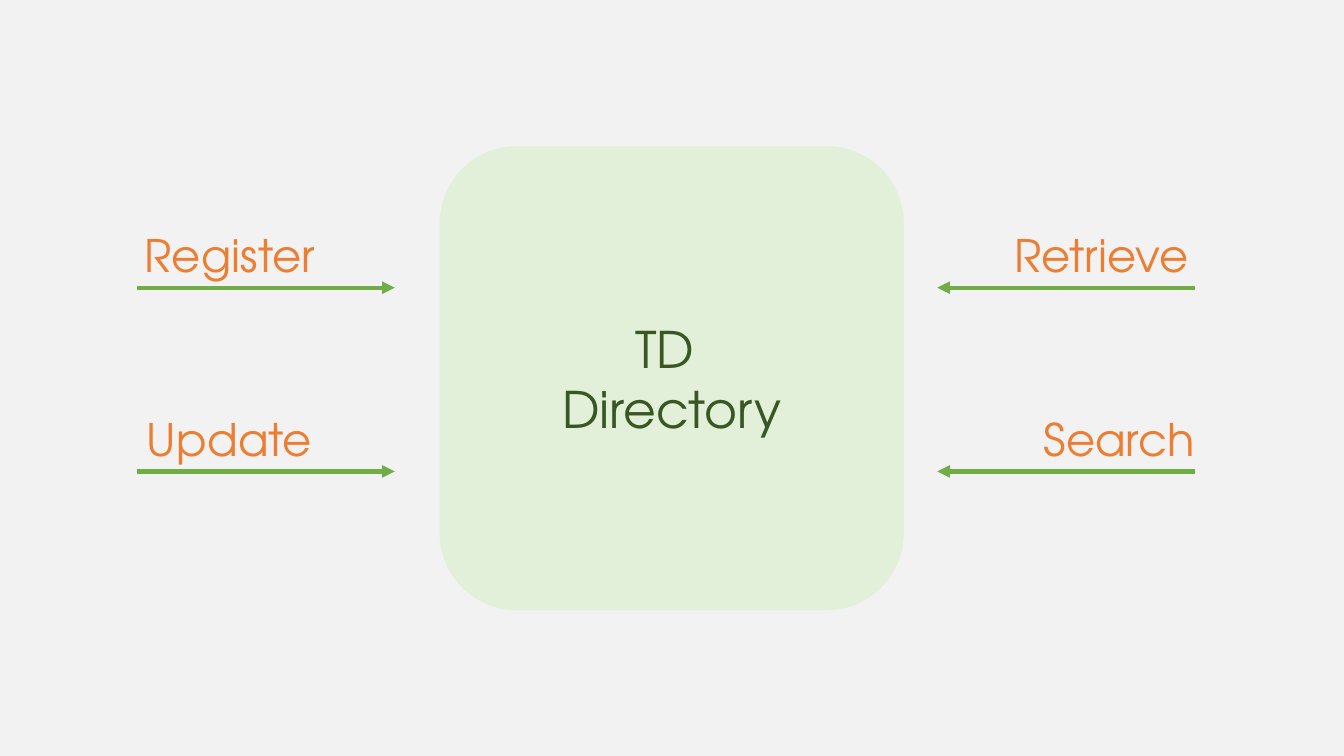
from dataclasses import dataclass

from lxml import etree
from pptx import Presentation
from pptx.dml.color import RGBColor
from pptx.enum.shapes import MSO_CONNECTOR, MSO_SHAPE
from pptx.enum.text import MSO_ANCHOR, MSO_AUTO_SIZE, PP_ALIGN
from pptx.oxml.ns import qn
from pptx.util import Cm, Pt

ROUNDED = MSO_SHAPE.ROUNDED_RECTANGLE
STRAIGHT = MSO_CONNECTOR.STRAIGHT
MIDDLE = MSO_ANCHOR.MIDDLE
FIT_SHAPE = MSO_AUTO_SIZE.SHAPE_TO_FIT_TEXT
LEFT, CENTER = PP_ALIGN.LEFT, PP_ALIGN.CENTER


@dataclass(frozen=True)
class Theme:
    font: str = "TeX Gyre Adventor"
    background: RGBColor = RGBColor(0xF2, 0xF2, 0xF2)
    directory_fill: RGBColor = RGBColor(0xE2, 0xF0, 0xD9)
    directory_text: RGBColor = RGBColor(0x38, 0x57, 0x23)
    label_text: RGBColor = RGBColor(0xED, 0x7D, 0x31)
    arrow: RGBColor = RGBColor(0x70, 0xAD, 0x47)
    directory_size: Pt = Pt(36)
    label_size: Pt = Pt(32)
    arrow_width: Pt = Pt(3)


THEME = Theme()


def write_text(frame, text, *, size, color, align=LEFT, line_spacing=None):
    """Fill a text frame, one paragraph for each line of the text."""
    frame.text = text
    frame.vertical_anchor = MIDDLE
    for paragraph in frame.paragraphs:
        paragraph.alignment = align
        paragraph.line_spacing = line_spacing
        for run in paragraph.runs:
            run.font.name = THEME.font
            run.font.size = size
            run.font.color.rgb = color


def add_arrow(slide, start_x, end_x, y):
    arrow = slide.shapes.add_connector(STRAIGHT, Cm(start_x), Cm(y), Cm(end_x), Cm(y))
    arrow.line.color.rgb = THEME.arrow
    arrow.line.width = THEME.arrow_width
    etree.SubElement(arrow.line._get_or_add_ln(), qn("a:tailEnd"), type="triangle")
    etree.SubElement(arrow._element.spPr, qn("a:effectLst"))


presentation = Presentation()
presentation.slide_width = Cm(33.87)
presentation.slide_height = Cm(19.05)
slide = presentation.slides.add_slide(presentation.slide_layouts[6])
slide.background.fill.solid()
slide.background.fill.fore_color.rgb = THEME.background

directory = slide.shapes.add_shape(ROUNDED, Cm(11.08), Cm(3.68), Cm(11.7), Cm(11.7))
directory.shadow.inherit = False
directory.fill.solid()
directory.fill.fore_color.rgb = THEME.directory_fill
directory.line.fill.background()
write_text(directory.text_frame, "TD \nDirectory", size=THEME.directory_size,
           color=THEME.directory_text, align=CENTER)

LABEL_HEIGHT = 1.49
ROWS = (7.25, 11.88)
# Arrow start and end, then text, left and width of the label in each row
SIDES = (
    (3.45, 9.95, (("Register", 3.4, 4.85), ("Update", 3.45, 4.72))),
    (30.12, 23.62, (("Retrieve", 25.32, 5), ("Search", 26.06, 4.37))),
)
for start_x, end_x, labels in SIDES:
    for y, (text, left, width) in zip(ROWS, labels):
        label = slide.shapes.add_textbox(
            Cm(left), Cm(y - LABEL_HEIGHT), Cm(width), Cm(LABEL_HEIGHT))
        label.text_frame.word_wrap = False
        label.text_frame.auto_size = FIT_SHAPE
        write_text(label.text_frame, text, size=THEME.label_size,
                   color=THEME.label_text, line_spacing=0.9)
        add_arrow(slide, start_x, end_x, y)

presentation.save("out.pptx")
